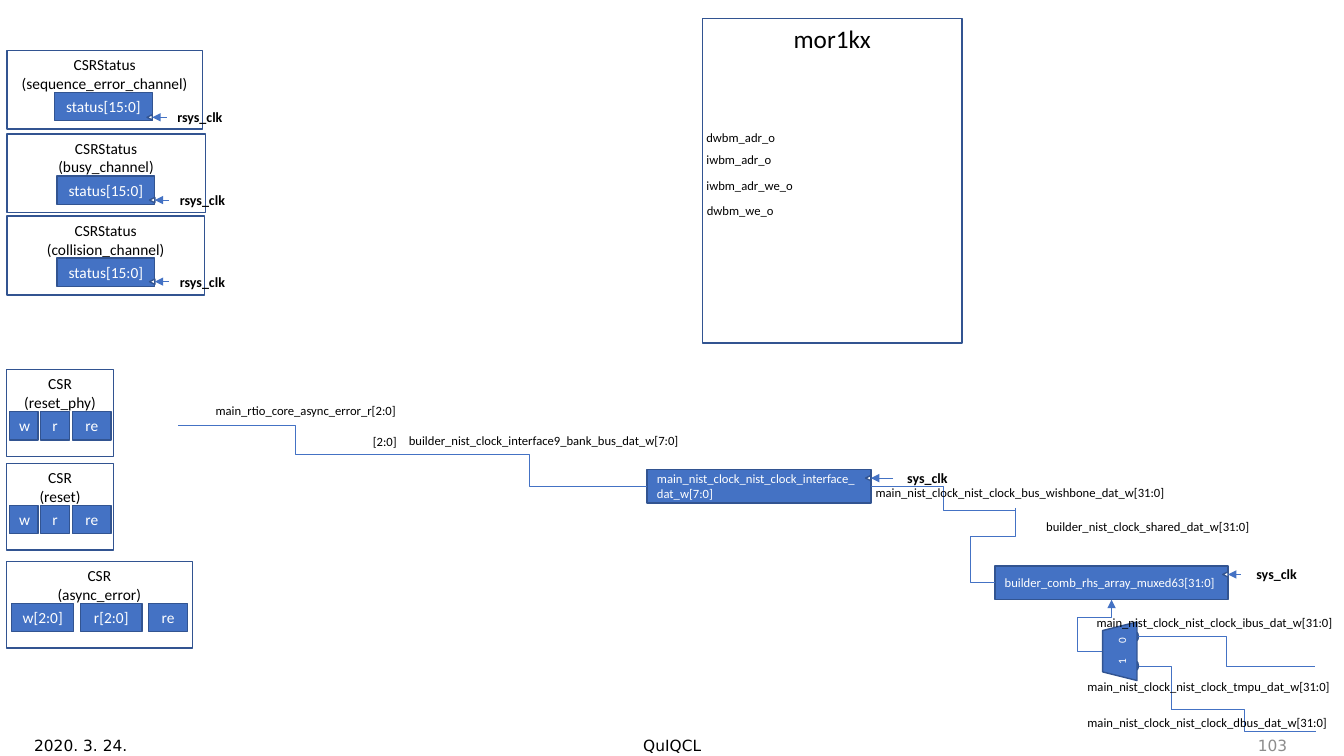
from dataclasses import dataclass

from lxml import etree
from pptx import Presentation
from pptx.dml import color as dml
from pptx.enum import shapes, text
from pptx.oxml import ns
from pptx.util import Pt

COLORS = {"fill": "4472C4", "edge": "325491", "white": "FFFFFF",
          "black": "000000", "page": "8C8C8C"}
KIND = shapes.MSO_SHAPE
ALIGN = text.PP_ALIGN
ANCHOR = text.MSO_ANCHOR
CELL_DROP = 30
CELL_HEIGHT = 20.2
CLOCK_HEIGHT = 19.4
CLOCK_MARK = 3.8
LABEL_HEIGHT = 18


@dataclass
class Cell:
    name: str
    left: float
    width: float


@dataclass
class Panel:
    title: str
    box: tuple[float, float, float, float]
    cells: list[Cell]
    clock_top: float | None = None


@dataclass
class Register:
    signal: str
    box: tuple[float, float, float, float]
    clock_box: tuple[float, float, float]


@dataclass
class Wire:
    begin: tuple[float, float]
    end: tuple[float, float]
    preset: str = "bentConnector3"
    rotation: int = 0
    bends: tuple[int, ...] = ()
    arrow: bool = False


@dataclass
class Label:
    signal: str
    left: float
    top: float
    width: float


@dataclass
class Footer:
    words: str
    left: float
    width: float
    align: ALIGN
    color: str = "black"


def status_panel(channel: str, top: float, width: float, cell_left: float, clock_top: float) -> Panel:
    return Panel(f"CSRStatus\n({channel})", (4.9, top, width, 56.2),
                 [Cell("status[15:0]", cell_left, 69.8)], clock_top)


def reset_panel(channel: str, top: float) -> Panel:
    return Panel(f"CSR\n({channel})", (4.8, top, 76.3, 62),
                 [Cell("w", 6.6, 20.6), Cell("r", 28.8, 21), Cell("re", 51.8, 27.6)])


PANELS = [
    Panel("mor1kx", (501.8, 13.2, 185.4, 231.8), []),
    status_panel("collision_channel", 154.4, 141.2, 40.8, 191.5),
    status_panel("busy_channel", 95.7, 141.8, 40.8, 133.2),
    status_panel("sequence_error_channel", 36, 139.8, 39, 74.1),
    reset_panel("reset", 331),
    reset_panel("reset_phy", 264),
    Panel("CSR\n(async_error)", (4.5, 401, 133, 62),
          [Cell("w[2:0]", 8.4, 44.2), Cell("r[2:0]", 57.4, 44.2), Cell("re", 106.3, 27.6)]),
]
REGISTERS = [
    Register("main_nist_clock_nist_clock_interface_dat_w[7:0]",
             (462.2, 335.5, 159.9, 23.8), (637.9, 331.8, 49)),
    Register("builder_comb_rhs_array_muxed63[31:0]",
             (710.6, 404.3, 166.6, 23.8), (886.3, 400.6, 51)),
]
WIRES = [
    Wire((127.4, 303.8), (295.2, 324.7)),
    Wire((293.8, 324.7), (462.2, 347.2)),
    Wire((622.1, 347.2), (725.4, 364.3)),
    Wire((691.6, 382.2), (744.9, 396.8), "bentConnector4", 90, (38700, 222100)),
    Wire((787.4, 465.1), (794, 428.4), "bentConnector4", 0, (-274900, 66600), True),
    Wire((812.9, 454.7), (939.6, 475.9)),
    Wire((813.6, 475.9), (836.8, 506.9), "bentConnector2"),
    Wire((836.8, 506.9), (940.3, 522.4)),
]
LABELS = [
    Label("dwbm_adr_o", 497.5, 89.3, 72),
    Label("iwbm_adr_o", 497.5, 105.1, 72),
    Label("iwbm_adr_we_o", 497.5, 123.4, 94),
    Label("dwbm_we_o", 497.8, 141.4, 94),
    Label("main_rtio_core_async_error_r[2:0]", 146.9, 284.4, 152),
    Label("[2:0]", 259.2, 306.7, 49),
    Label("builder_nist_clock_interface9_bank_bus_dat_w[7:0]", 285, 305.6, 208),
    Label("main_nist_clock_nist_clock_bus_wishbone_dat_w[31:0]", 618.3, 342.9, 222.5),
    Label("builder_nist_clock_shared_dat_w[31:0]", 740.2, 367.2, 201),
    Label("main_nist_clock_nist_clock_ibus_dat_w[31:0]", 776.2, 435.8, 183),
    Label("main_nist_clock_nist_clock_tmpu_dat_w[31:0]", 769.7, 481.3, 197),
    Label("main_nist_clock_nist_clock_dbus_dat_w[31:0]", 769.7, 507.1, 197),
]
FOOTERS = [
    Footer("2020. 3. 24.", 17.3, 216, ALIGN.LEFT),
    Footer("QuIQCL", 318.2, 324, ALIGN.CENTER),
    Footer("103", 710.6, 216, ALIGN.RIGHT, "page"),
]


def rgb(name: str) -> dml.RGBColor:
    return dml.RGBColor.from_string(COLORS[name])


def write(shape, words: str, size: float, color: str = "black", align=ALIGN.CENTER,
          anchor=ANCHOR.TOP, bold: bool = False, face: str = "Calibri",
          wrap: bool = True, tab: float | None = None) -> None:
    frame = shape.text_frame
    frame.text = words
    frame.word_wrap = wrap
    frame.vertical_anchor = anchor
    for paragraph in frame.paragraphs:
        paragraph.alignment = align
        if tab is not None:
            stops = etree.SubElement(paragraph._p.get_or_add_pPr(), ns.qn("a:tabLst"))
            etree.SubElement(stops, ns.qn("a:tab"), pos=str(Pt(tab)), algn="l")
        font = paragraph.font
        font.size, font.name, font.bold = Pt(size), face, bold
        font.color.rgb = rgb(color)


def add_block(slide, kind, box: tuple[float, ...], fill: str | None = "fill", rotation: int = 0):
    block = slide.shapes.add_shape(kind, *map(Pt, box))
    block.shadow.inherit = False
    block.rotation = rotation
    if fill is None:
        block.fill.background()
    else:
        block.fill.solid()
        block.fill.fore_color.rgb = rgb(fill)
    block.line.color.rgb = rgb("edge")
    block.line.width = Pt(1)
    return block


def add_line(slide, kind, begin: tuple[float, float], end: tuple[float, float], arrow: bool):
    line = slide.shapes.add_connector(kind, *map(Pt, (*begin, *end)))
    line.line.color.rgb = rgb("fill")
    line.line.width = Pt(0.5)
    if arrow:
        etree.SubElement(line.line._get_or_add_ln(), ns.qn("a:tailEnd"), type="triangle")
    etree.SubElement(line._element.spPr, ns.qn("a:effectLst"))
    return line


def add_wire(slide, wire: Wire) -> None:
    line = add_line(slide, shapes.MSO_CONNECTOR.ELBOW, wire.begin, wire.end, wire.arrow)
    properties = line._element.spPr
    if wire.rotation:
        properties.find(ns.qn("a:xfrm")).set("rot", str(wire.rotation * 60000))
    geometry = properties.find(ns.qn("a:prstGeom"))
    geometry.set("prst", wire.preset)
    guides = geometry.find(ns.qn("a:avLst"))
    for number, bend in enumerate(wire.bends, 1):
        etree.SubElement(guides, ns.qn("a:gd"), name=f"adj{number}", fmla=f"val {bend}")


def add_clock(slide, name: str, register_right: float, left: float, top: float, width: float) -> None:
    label = slide.shapes.add_textbox(*map(Pt, (left, top, width, CLOCK_HEIGHT)))
    write(label, name, 10, bold=True, wrap=False)
    middle = top + CLOCK_HEIGHT / 2
    add_block(slide, KIND.ISOSCELES_TRIANGLE,
              (register_right - CLOCK_MARK, middle - CLOCK_MARK / 2, CLOCK_MARK, CLOCK_MARK),
              "white", 270)
    arrow = add_line(slide, shapes.MSO_CONNECTOR.STRAIGHT, (left, middle),
                     (register_right, middle), True)
    arrow.begin_connect(label, 1)


def add_panel(slide, panel: Panel) -> None:
    write(add_block(slide, KIND.RECTANGLE, panel.box, None), panel.title,
          11 if panel.cells else 18)
    for cell in panel.cells:
        block = add_block(slide, KIND.RECTANGLE,
                          (cell.left, panel.box[1] + CELL_DROP, cell.width, CELL_HEIGHT))
        write(block, cell.name, 11, "white", anchor=ANCHOR.MIDDLE)
        if panel.clock_top is not None:
            right = cell.left + cell.width
            add_clock(slide, "rsys_clk", right, right + 10.2, panel.clock_top, 47.5)


def add_register(slide, register: Register) -> None:
    block = add_block(slide, KIND.RECTANGLE, register.box)
    write(block, register.signal, 9, "white", ALIGN.LEFT, ANCHOR.MIDDLE)
    add_clock(slide, "sys_clk", register.box[0] + register.box[2], *register.clock_box)


def add_multiplexer(slide) -> None:
    for input_top in (471.6, 450.7):
        add_block(slide, KIND.OVAL, (805, input_top, 8.6, 7.9), rotation=270)
    body = add_block(slide, KIND.TRAPEZOID, (779, 452.9, 41.8, 24.5), rotation=270)
    write(body, "1\t0", 8, "white", ALIGN.LEFT, ANCHOR.MIDDLE, tab=15)


def main() -> None:
    deck = Presentation()
    deck.slide_width, deck.slide_height = Pt(960), Pt(540)
    slide = deck.slides.add_slide(deck.slide_layouts[6])
    for footer in FOOTERS:
        box = slide.shapes.add_textbox(*map(Pt, (footer.left, 517.7, footer.width, 28.8)))
        write(box, footer.words, 11, footer.color, footer.align, ANCHOR.MIDDLE, face="DejaVu Sans")
    for panel in PANELS:
        add_panel(slide, panel)
    for register in REGISTERS:
        add_register(slide, register)
    add_multiplexer(slide)
    for wire in WIRES:
        add_wire(slide, wire)
    for label in LABELS:
        box = slide.shapes.add_textbox(*map(Pt, (label.left, label.top, label.width, LABEL_HEIGHT)))
        write(box, label.signal, 9, align=ALIGN.LEFT)
    deck.save("out.pptx")


if __name__ == "__main__":
    main()
